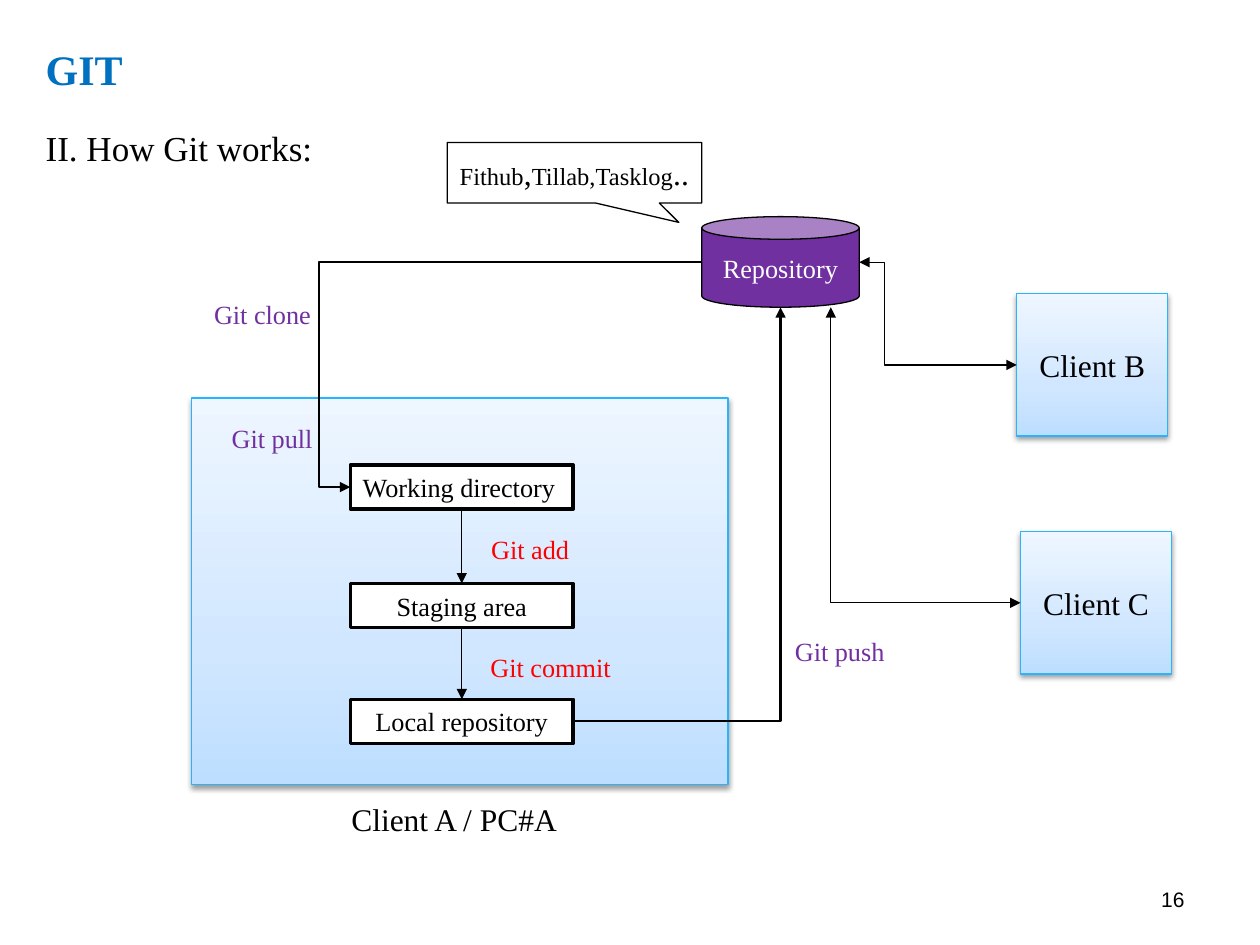
from copy import deepcopy
from dataclasses import dataclass

from pptx import Presentation
from pptx.dml.color import RGBColor
from pptx.enum.shapes import MSO_CONNECTOR as CONN, MSO_SHAPE as SHAPE
from pptx.enum.text import MSO_ANCHOR as ANCHOR, PP_ALIGN as ALIGN
from pptx.oxml.ns import qn
from pptx.oxml.xmlchemy import OxmlElement
from pptx.util import Pt

BLACK, WHITE, PURPLE, RED, BLUE = "000000", "FFFFFF", "7030A0", "FF0000", "0070C0"
SERIF = "Times New Roman"
PANEL_STOPS = [(0, "BDDEFF"), (0.35, "D1E7FF"), (1, "EEF6FF")]


@dataclass
class Label:
    text: str
    x: float
    y: float
    w: float
    h: float = 25.2
    size: float = 15
    color: str = BLACK
    bold: bool = False
    font: str = SERIF
    align: ALIGN = ALIGN.LEFT
    anchor: ANCHOR = ANCHOR.TOP


@dataclass
class Box:
    text: str
    x: float
    y: float
    w: float
    h: float
    kind: SHAPE = SHAPE.RECTANGLE
    fill: str = WHITE
    line: str = BLACK
    weight: float = 0.75
    size: float = 15
    color: str = BLACK
    align: ALIGN = ALIGN.CENTER


@dataclass
class Elbow:
    start: tuple
    end: tuple
    weight: float
    preset: str = "bentConnector2"
    bend: float = 0
    both_ends: bool = False


def rgb(value: str) -> RGBColor:
    return RGBColor.from_string(value)


def child(parent, tag: str, **attrs):
    el = OxmlElement(tag)
    for key, value in attrs.items():
        el.set(key, str(value))
    parent.append(el)
    return el


def set_font(p, size: float, color: str, name: str = SERIF, bold: bool = False) -> None:
    p.font.size, p.font.name, p.font.bold = Pt(size), name, bold
    p.font.color.rgb = rgb(color)


def add_label(s, d: Label):
    tf = s.shapes.add_textbox(Pt(d.x), Pt(d.y), Pt(d.w), Pt(d.h)).text_frame
    tf.word_wrap, tf.vertical_anchor = True, d.anchor
    p = tf.paragraphs[0]
    p.text, p.alignment = d.text, d.align
    set_font(p, d.size, d.color, d.font, d.bold)
    return p


def add_box(s, d: Box):
    sp = s.shapes.add_shape(d.kind, Pt(d.x), Pt(d.y), Pt(d.w), Pt(d.h))
    sp.shadow.inherit = False
    sp.fill.solid()
    sp.fill.fore_color.rgb = rgb(d.fill)
    sp.line.color.rgb, sp.line.width = rgb(d.line), Pt(d.weight)
    tf = sp.text_frame
    tf.word_wrap, tf.vertical_anchor = False, ANCHOR.MIDDLE
    p = tf.paragraphs[0]
    p.text, p.alignment = d.text, d.align
    set_font(p, d.size, d.color)
    return sp


def add_panel(s, text: str, x: float, y: float, w: float, h: float):
    """Client machine: light blue gradient with a soft shadow below."""
    sp = add_box(s, Box(text, x, y, w, h, line="2BB4FC", size=18))
    sp.fill.gradient()
    sp.fill.gradient_angle = 90
    spPr = sp._element.spPr
    stops = spPr.find(qn("a:gradFill")).find(qn("a:gsLst"))
    stops.insert(1, deepcopy(stops[0]))
    for stop, (position, color) in zip(sp.fill.gradient_stops, PANEL_STOPS):
        stop.position, stop.color.rgb = position, rgb(color)
    shadow = child(spPr.find(qn("a:effectLst")), "a:outerShdw", blurRad=Pt(3.1),
                   dist=Pt(1.6), dir=90 * 60000, rotWithShape=0)
    child(child(shadow, "a:srgbClr", val=BLACK), "a:alpha", val=38000)
    return sp


def style_connector(c, weight: float, both_ends: bool = False) -> None:
    c.line.color.rgb, c.line.width = rgb(BLACK), Pt(weight)
    ln = c.line._get_or_add_ln()
    if both_ends:
        child(ln, "a:headEnd", type="triangle")
    child(ln, "a:tailEnd", type="triangle")
    child(c._element.spPr, "a:effectLst")


def add_step_arrow(s, upper, lower) -> None:
    c = s.shapes.add_connector(CONN.STRAIGHT, 0, 0, 0, 0)
    c.begin_connect(upper, 2)
    c.end_connect(lower, 0)
    style_connector(c, 0.75)


def add_elbow(s, d: Elbow) -> None:
    c = s.shapes.add_connector(CONN.ELBOW, *map(Pt, d.start + d.end))
    geom = c._element.spPr.find(qn("a:prstGeom"))
    geom.set("prst", d.preset)
    if d.bend:
        child(geom.find(qn("a:avLst")), "a:gd", name="adj1",
              fmla=f"val {round(d.bend * 100000)}")
    style_connector(c, d.weight, d.both_ends)


prs = Presentation()
prs.slide_width, prs.slide_height = Pt(720), Pt(540)
s = prs.slides.add_slide(prs.slide_layouts[6])

# Title, page number and heading
title = add_label(s, Label("GIT", 19, 14, 683.3, 54.7, 24, BLUE, True,
                           anchor=ANCHOR.MIDDLE))
title.line_spacing = 0.9
add_label(s, Label("16", 516.2, 503.3, 167.8, 29.5, 12, font="Arial", align=ALIGN.RIGHT))
add_label(s, Label("II. How Git works:", 19, 68.6, 683.3, 424, 20))

# Remote repository and its callout
add_box(s, Box("Repository", 401, 123.8, 90, 51.8, SHAPE.CAN, PURPLE, color=WHITE))
callout = add_box(s, Box("", 255.6, 81.4, 145.4, 34.6, SHAPE.RECTANGULAR_CALLOUT,
                         align=ALIGN.LEFT))
callout.adjustments[0], callout.adjustments[1] = 0.41, 0.82
p = callout.text_frame.paragraphs[0]
for text, size in [("Fithub", 14), (",", 18), ("Tillab,Tasklog", 14), ("..", 18)]:
    r = p.add_run()
    r.text, r.font.size = text, Pt(size)

# Client A with its three areas
add_panel(s, "", 109.4, 227.5, 306.7, 221)
working, staging, local = [
    add_box(s, Box(text, 200.2, y, 127.4, 25.2, weight=2, align=align))
    for text, y, align in [("Working directory", 265.7, ALIGN.LEFT),
                           ("Staging area", 333.4, ALIGN.CENTER),
                           ("Local repository", 399.6, ALIGN.CENTER)]]
add_step_arrow(s, working, staging)
add_step_arrow(s, staging, local)

# Other clients
add_panel(s, "Client B", 581, 167.8, 86.4, 81.4)
add_panel(s, "Client C", 583.2, 303.8, 86.4, 81.4)

# Routes between the repository and the clients
for elbow in [
    Elbow((401, 149.8), (200.2, 278.3), 1.25, "bentConnector3", 1.09),
    Elbow((327.6, 412.2), (446, 175.6), 1.25),
    Elbow((491, 149.8), (581, 208.5), 0.75, "bentConnector3", 0.16, True),
    Elbow((583.2, 344.5), (474.8, 175.6), 0.75, both_ends=True),
]:
    add_elbow(s, elbow)

# Command names and caption
for label in [
    Label("Git add", 273.6, 301, 64.8, color=RED),
    Label("Git commit", 273.2, 368.6, 86.4, color=RED),
    Label("Git clone", 115.2, 167, 80.6, color=PURPLE),
    Label("Git push", 447.1, 359.3, 80.6, color=PURPLE),
    Label("Git pull", 125.3, 237.6, 80.6, color=PURPLE),
    Label("Client A / PC#A", 193.7, 453.6, 144, 28.8, 18),
]:
    add_label(s, label)

prs.save("out.pptx")
